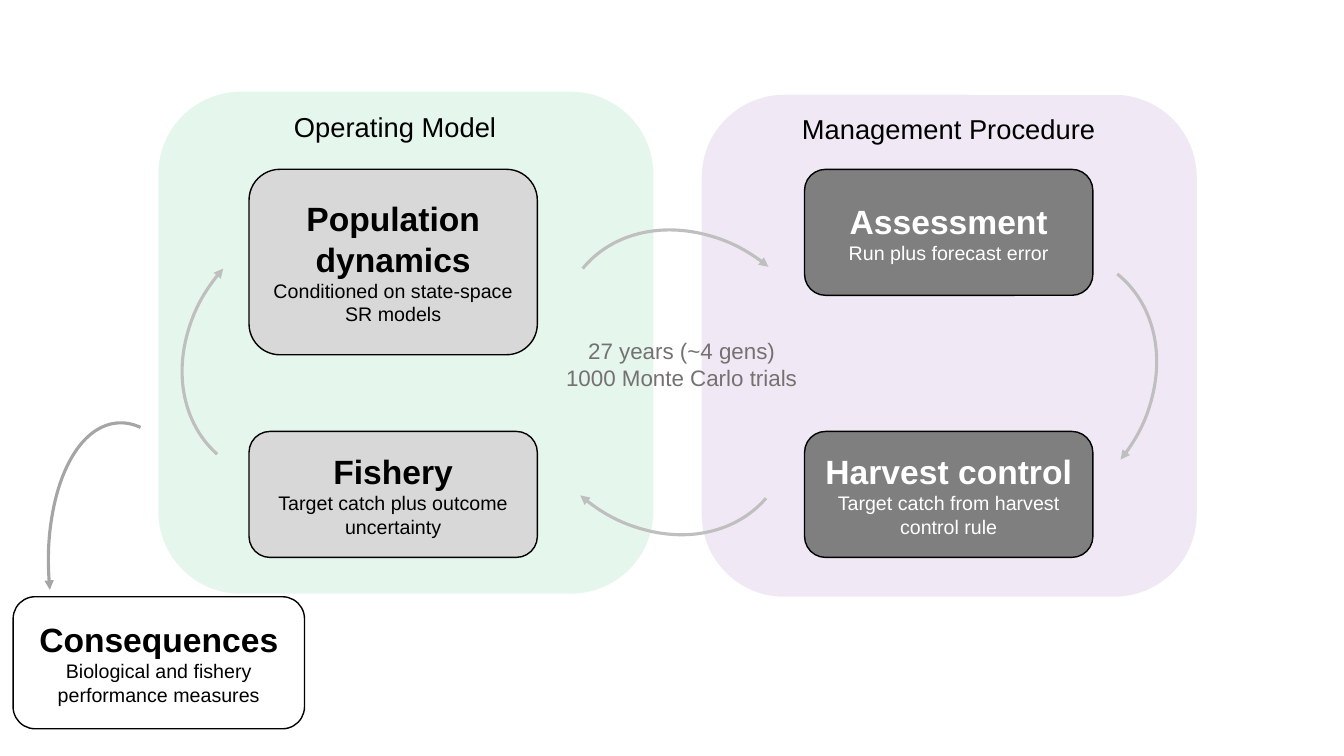
from lxml.etree import SubElement
from pptx import Presentation
from pptx.dml.color import RGBColor
from pptx.enum.shapes import MSO_SHAPE as Form
from pptx.enum.text import MSO_ANCHOR as Anchor, MSO_AUTO_SIZE as Fit, PP_ALIGN as Align
from pptx.oxml.ns import qn
from pptx.util import Inches, Pt

BLACK = RGBColor(0x00, 0x00, 0x00)
WHITE = RGBColor(0xFF, 0xFF, 0xFF)
GREEN = RGBColor(0x00, 0xB0, 0x50)
PURPLE = RGBColor(0x70, 0x30, 0xA0)
LIGHT = RGBColor(0xD8, 0xD8, 0xD8)
DARK = RGBColor(0x7F, 0x7F, 0x7F)
SILVER = RGBColor(0xBF, 0xBF, 0xBF)
GREY = RGBColor(0xA5, 0xA5, 0xA5)
TAUPE = RGBColor(0x76, 0x71, 0x71)


def write(para, text, size=16, color=BLACK, bold=False, font="Arial"):
    para.alignment = Align.CENTER
    run = para.add_run()
    run.text = text
    run.font.name = font
    run.font.size = Pt(size)
    run.font.bold = bold
    run.font.color.rgb = color


class Board:
    head = 24
    body = 14
    edge = 1
    curve = 2.25

    def __init__(self, deck):
        self.slide = deck.slides.add_slide(deck.slide_layouts[6])

    def shape(self, form, place):
        item = self.slide.shapes.add_shape(form, *map(Inches, place))
        item.shadow.inherit = False
        return item

    def panel(self, place, color, alpha=10):
        item = self.shape(Form.ROUNDED_RECTANGLE, place)
        item.fill.solid()
        item.fill.fore_color.rgb = color
        item.line.fill.background()
        tint = item._element.spPr.find(qn("a:solidFill"))[0]
        SubElement(tint, qn("a:alpha"), val=str(alpha * 1000))

    def card(self, place, title, note, fill, ink=BLACK):
        item = self.shape(Form.ROUNDED_RECTANGLE, place)
        item.fill.solid()
        item.fill.fore_color.rgb = fill
        item.line.color.rgb = BLACK
        item.line.width = Pt(self.edge)
        frame = item.text_frame
        frame.word_wrap = True
        frame.vertical_anchor = Anchor.MIDDLE
        write(frame.paragraphs[0], title, size=self.head, color=ink, bold=True)
        write(frame.add_paragraph(), note, size=self.body, color=ink)

    def label(self, place, *lines, **style):
        frame = self.slide.shapes.add_textbox(*map(Inches, place)).text_frame
        frame.word_wrap = True
        frame.auto_size = Fit.SHAPE_TO_FIT_TEXT
        for i, line in enumerate(lines):
            para = frame.add_paragraph() if i else frame.paragraphs[0]
            write(para, line, **style)

    def arrow(self, place, turn, color=SILVER, start=162, flip="flipH", end="headEnd"):
        item = self.shape(Form.ARC, place)
        item.adjustments[0] = start
        item.adjustments[1] = 0
        item.rotation = turn
        item.fill.background()
        item.line.color.rgb = color
        item.line.width = Pt(self.curve)
        props = item._element.spPr
        props.find(qn("a:xfrm")).set(flip, "1")
        SubElement(props.find(qn("a:ln")), qn("a:" + end), type="triangle")


def main():
    deck = Presentation()
    deck.slide_width = Inches(13.33)
    deck.slide_height = Inches(7.5)
    board = Board(deck)

    board.panel((6.96, 0.94, 4.91, 4.98), PURPLE)
    board.panel((1.57, 0.91, 4.91, 4.98), GREEN)
    board.label((2.78, 1.04, 2.28, 0.43), "Operating Model", size=19.5)
    board.label((7.67, 1.06, 3.48, 0.43), "Management Procedure", size=19.5)

    left, right, top, low = 2.47, 7.98, 1.68, 4.28
    wide, high = 2.86, 1.25
    board.card((right, top, wide, high), "Assessment",
               "Run plus forecast error", DARK, WHITE)
    board.card((right, low, wide, high), "Harvest control",
               "Target catch from harvest control rule", DARK, WHITE)
    board.card((left, low, wide, high), "Fishery",
               "Target catch plus outcome uncertainty", LIGHT)
    board.card((left, top, wide, 1.84), "Population dynamics",
               "Conditioned on state-space SR models", LIGHT)
    board.card((0.13, 5.92, 2.89, 1.31), "Consequences",
               "Biological and fishery performance measures", WHITE)

    cycle = ((5.46, 2.38, 39.3), (8.78, 2.64, 128.8),
             (5.11, 2.84, 220.7), (1.68, 2.27, 311.7))
    for x, y, turn in cycle:
        board.arrow((x, y, 2.83, 2.36), turn)
    board.label((5.29, 3.3, 2.94, 0.64), "27 years (~4 gens)",
                "1000 Monte Carlo trials", color=TAUPE)
    board.arrow((0.49, 4.19, 1.63, 3.17), 174.6, color=GREY, start=156.78,
                flip="flipV", end="tailEnd")

    deck.save("out.pptx")


if __name__ == "__main__":
    main()
